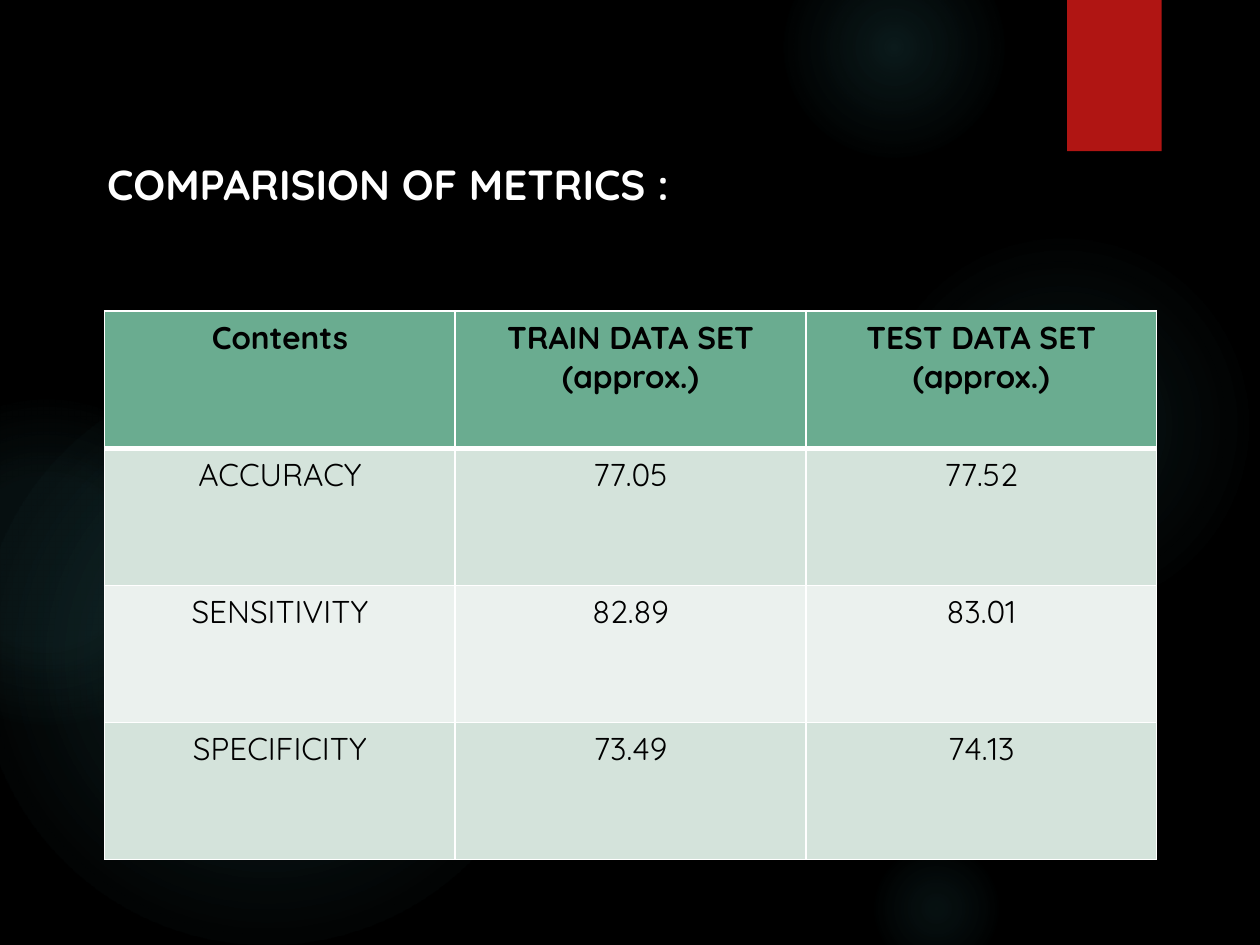
import dataclasses

import pptx
import pptx.dml.color
import pptx.enum.shapes
import pptx.enum.text
import pptx.oxml
import pptx.oxml.ns
import pptx.util

Inches = pptx.util.Inches
Shapes = pptx.enum.shapes.MSO_SHAPE


@dataclasses.dataclass(frozen=True)
class Theme:
    """Colours, font and type sizes of the slide."""

    background: str = "000000"
    glow: str = "50B9C1"
    ribbon: str = "B01513"
    header: str = "6AAC90"
    bands: tuple = ("D4E3DB", "EBF1EE")
    border: str = "FFFFFF"
    title_text: str = "FFFFFF"
    table_text: str = "000000"
    font: str = "Quicksand"
    title_size: int = 24
    table_size: int = 18


THEME = Theme()

GLOWS = [
    (6.89, 1.83, 3.08, [(0, 7), (36, 6), (69, 0)]),
    (6.22, -0.5, 1.75, [(0, 14), (36, 7), (73, 0)]),
    (6.89, 6.67, 1.08, [(0, 9), (36, 5), (66, 0)]),
    (-0.17, 2.92, 4.58, [(0, 11), (36, 10), (75, 0)]),
    (-0.92, 3.17, 2.58, [(0, 8), (36, 8), (72, 0)]),
]

METRICS = [
    ("Contents", "TRAIN DATA SET\n(approx.)", "TEST DATA SET\n(approx.)"),
    ("ACCURACY", "77.05", "77.52"),
    ("SENSITIVITY", "82.89", "83.01"),
    ("SPECIFICITY", "73.49", "74.13"),
]


def rgb(value):
    """Turn a hex string into a colour."""
    return pptx.dml.color.RGBColor.from_string(value)


def paint(fill, colour):
    """Give a fill one solid colour."""
    fill.solid()
    fill.fore_color.rgb = rgb(colour)


def style_text(frame, size, colour, bold, align):
    """Format every paragraph and run of a text frame."""
    for paragraph in frame.paragraphs:
        paragraph.alignment = align
        for run in paragraph.runs:
            run.font.name = THEME.font
            run.font.size = pptx.util.Pt(size)
            run.font.bold = bold
            run.font.color.rgb = rgb(colour)


def add_plain_shape(slide, kind, left, top, width, height):
    """Add a preset shape without shadow or outline."""
    shape = slide.shapes.add_shape(
        kind, Inches(left), Inches(top), Inches(width), Inches(height))
    shape.shadow.inherit = False
    shape.line.fill.background()
    return shape


def add_glow(slide, left, top, size, stops):
    """Add a circle that fades out from its centre."""
    glow = add_plain_shape(slide, Shapes.OVAL, left, top, size, size)
    glow.fill.background()
    stop_xml = "".join(
        f'<a:gs pos="{position * 1000}"><a:srgbClr val="{THEME.glow}">'
        f'<a:alpha val="{opacity * 1000}"/></a:srgbClr></a:gs>'
        for position, opacity in stops)
    gradient = pptx.oxml.parse_xml(
        f'<a:gradFill {pptx.oxml.ns.nsdecls("a")} rotWithShape="1">'
        f'<a:gsLst>{stop_xml}</a:gsLst><a:path path="circle">'
        '<a:fillToRect l="50000" t="50000" r="50000" b="50000"/>'
        '</a:path></a:gradFill>')
    properties = glow._element.spPr
    properties.replace(properties.find(pptx.oxml.ns.qn("a:noFill")), gradient)


def add_ribbon(slide):
    """Add the red block at the top edge."""
    ribbon = add_plain_shape(slide, Shapes.RECTANGLE, 8.47, 0, 0.75, 1.2)
    paint(ribbon.fill, THEME.ribbon)


def set_title(slide, text):
    """Place and format the title."""
    title = slide.shapes.title
    title.left, title.top = Inches(0.75), Inches(1.21)
    title.width, title.height = Inches(4.77), Inches(0.5)
    frame = title.text_frame
    frame.text = text
    frame.word_wrap = False
    frame.auto_size = pptx.enum.text.MSO_AUTO_SIZE.SHAPE_TO_FIT_TEXT
    frame.vertical_anchor = pptx.enum.text.MSO_ANCHOR.TOP
    style_text(frame, THEME.title_size, THEME.title_text, True,
               pptx.enum.text.PP_ALIGN.LEFT)


def set_borders(cell, top, bottom):
    """Draw the four borders of a cell, with top and bottom widths in points."""
    properties = cell._tc.get_or_add_tcPr()
    widths = {"lnL": 1, "lnR": 1, "lnT": top, "lnB": bottom}
    for index, (side, width) in enumerate(widths.items()):
        properties.insert(index, pptx.oxml.parse_xml(
            f'<a:{side} {pptx.oxml.ns.nsdecls("a")} w="{pptx.util.Pt(width)}">'
            f'<a:solidFill><a:srgbClr val="{THEME.border}"/></a:solidFill>'
            f'</a:{side}>'))


def add_metrics_table(slide, rows):
    """Add the table with a header row and banded body rows."""
    table = slide.shapes.add_table(
        len(rows), len(rows[0]), Inches(0.83), Inches(2.47),
        Inches(8.35), Inches(4.35)).table
    for row, texts in enumerate(rows):
        is_header = row == 0
        colour = THEME.header if is_header else THEME.bands[(row - 1) % 2]
        for column, text in enumerate(texts):
            cell = table.cell(row, column)
            cell.text_frame.text = text
            style_text(cell.text_frame, THEME.table_size, THEME.table_text,
                       is_header, pptx.enum.text.PP_ALIGN.CENTER)
            paint(cell.fill, colour)
            set_borders(cell, 3 if row == 1 else 1, 3 if is_header else 1)


def main():
    """Build the slide and save it."""
    deck = pptx.Presentation()
    deck.slide_width, deck.slide_height = Inches(10), Inches(7.5)
    slide = deck.slides.add_slide(deck.slide_layouts[5])
    paint(slide.background.fill, THEME.background)
    for glow in GLOWS:
        add_glow(slide, *glow)
    add_ribbon(slide)
    add_metrics_table(slide, METRICS)
    set_title(slide, "COMPARISION OF METRICS :")
    deck.save("out.pptx")


if __name__ == "__main__":
    main()
